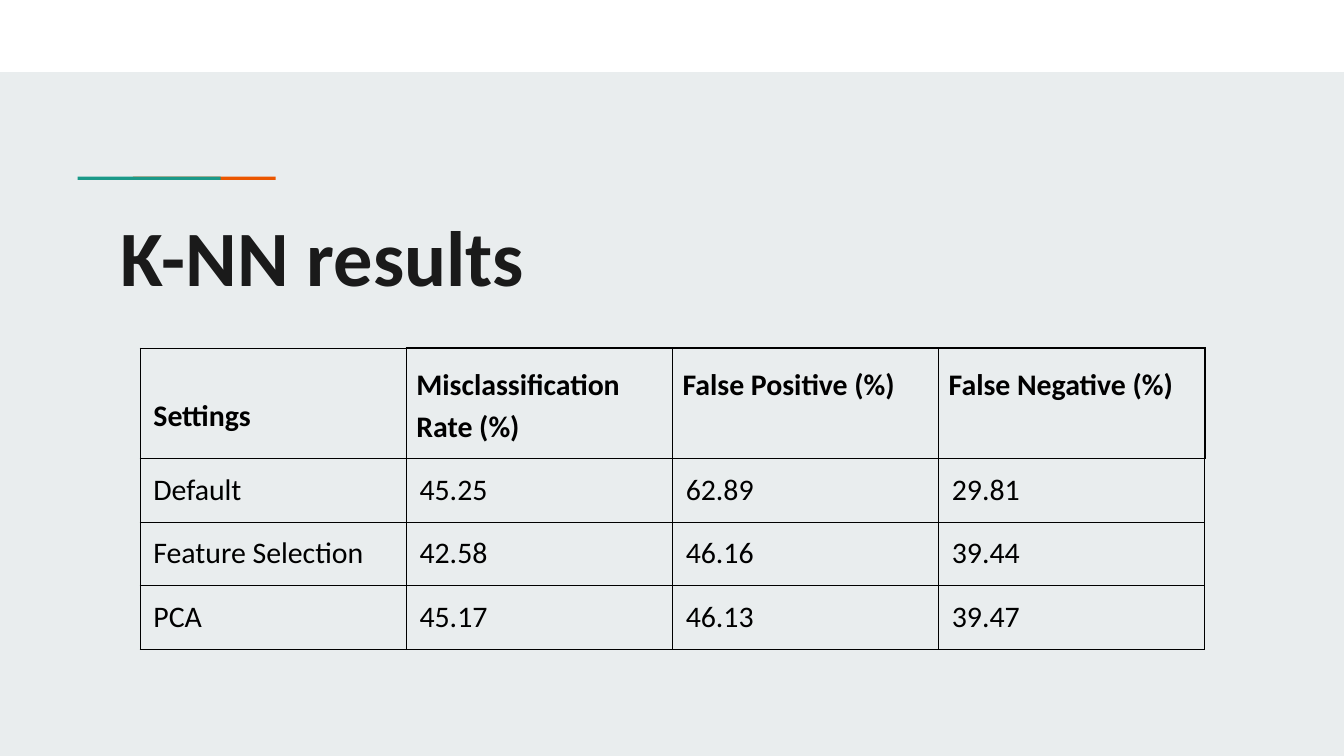
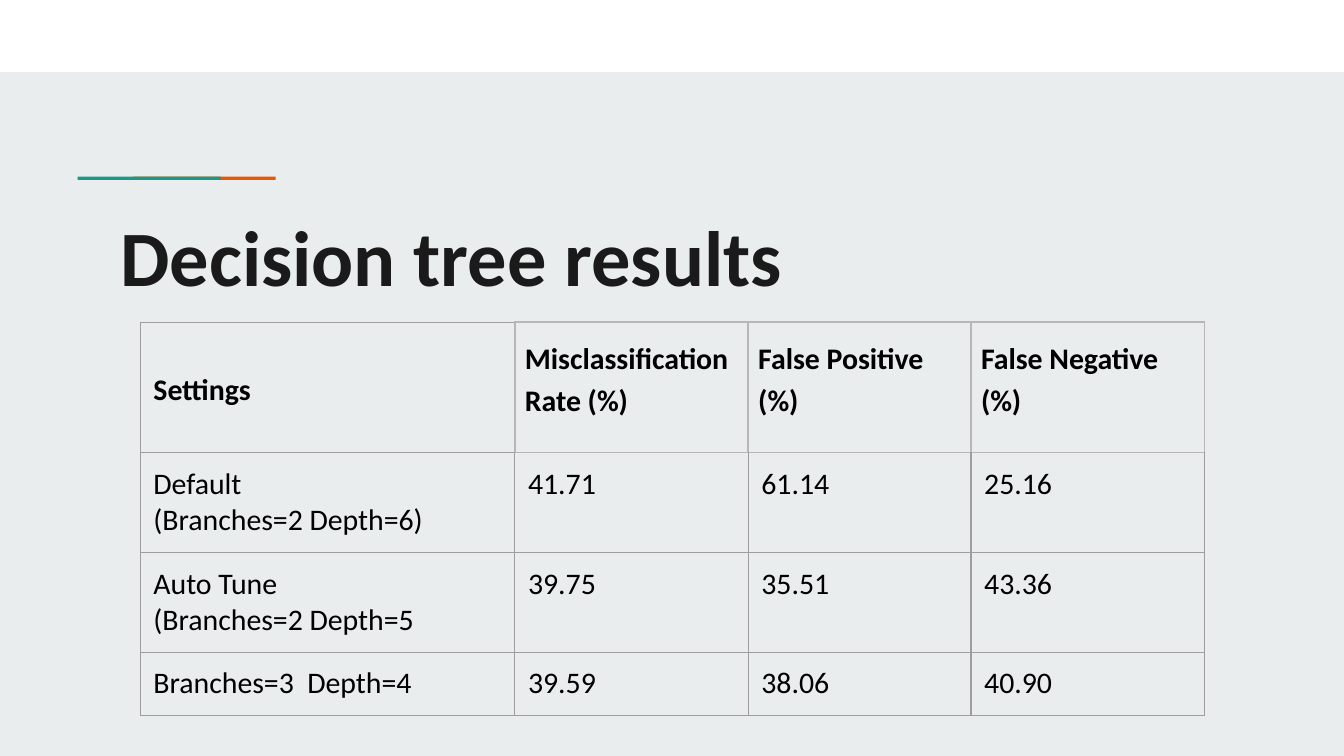
"""Builds two slides with the result tables of two classifiers."""
from dataclasses import dataclass

from lxml.etree import SubElement
from pptx import Presentation
from pptx.dml.color import RGBColor
from pptx.enum.shapes import MSO_SHAPE
from pptx.enum.text import MSO_ANCHOR
from pptx.oxml.ns import qn
from pptx.util import Cm, Pt


@dataclass(frozen=True)
class Theme:
    font: str = "Calibri"
    back: str = "E9EDEE"
    band: str = "FFFFFF"
    teal: str = "1A9988"
    orange: str = "EB5600"
    title: str = "1A1A1A"
    text: str = "000000"
    big: int = 42
    body: int = 16
    thin: float = 0.75
    thick: float = 1


THEME = Theme()
WIDTH, HEIGHT = 25.4, 14.29
LEFT, PAD, TIGHT = 2.65, 0.25, 0.19
DROP = 0.94
HEADS = ["Settings", "Misclassification Rate (%)",
         "False Positive (%)", "False Negative (%)"]


def style(par, size, color, bold=False):
    font = par.font
    font.name, font.size, font.bold = THEME.font, Pt(size), bold
    font.color.rgb = RGBColor.from_string(color)


def add_bar(slide, left, top, width, height, color):
    bar = slide.shapes.add_shape(MSO_SHAPE.RECTANGLE, Cm(left), Cm(top),
                                 Cm(width), Cm(height))
    bar.shadow.inherit = False
    bar.fill.solid()
    bar.fill.fore_color.rgb = RGBColor.from_string(color)
    bar.line.fill.background()


def add_title(slide, text, height):
    frame = slide.shapes.add_textbox(Cm(2.03), Cm(3.68), Cm(21.36),
                                     Cm(height)).text_frame
    frame.word_wrap = True
    frame.vertical_anchor = MSO_ANCHOR.TOP
    frame.margin_left = frame.margin_right = Cm(PAD)
    frame.margin_top = frame.margin_bottom = Cm(PAD)
    frame.text = text
    style(frame.paragraphs[0], THEME.big, THEME.title, True)


def set_edges(cell, edges):
    props = cell._tc.get_or_add_tcPr()
    for side in "LRTB":
        color, width = edges[side]
        line = SubElement(props, qn(f"a:ln{side}"), w=str(Pt(width)))
        fill = SubElement(line, qn("a:solidFill"))
        SubElement(fill, qn("a:srgbClr"), val=color)


def pick_edges(row, col, grid, head):
    thin, thick = (grid, THEME.thin), (head, THEME.thick)
    if row == 0 and col > 0:
        return dict.fromkeys("LRTB", thick)
    edges = dict.fromkeys("LRTB", thin)
    if row == 0:
        edges["R"] = thick
    elif row == 1 and col > 0:
        edges["T"] = thick
    return edges


def fill_cell(cell, text, row, col):
    header = row == 0
    label = header and col > 0
    cell.margin_left = cell.margin_right = Cm(TIGHT if label else PAD)
    cell.margin_top = Cm(DROP if header and col == 0 else PAD)
    cell.margin_bottom = Cm(PAD)
    cell.text = text
    for par in cell.text_frame.paragraphs:
        style(par, THEME.body, THEME.text, header)
        if label:
            par.line_spacing = 1.15
            par.space_before = par.space_after = Pt(12)


def add_table(slide, top, widths, heights, rows, grid, head):
    data = [HEADS, *rows]
    table = slide.shapes.add_table(len(data), len(HEADS), Cm(LEFT), Cm(top),
                                   Cm(sum(widths)), Cm(sum(heights))).table
    table.first_row = table.horz_banding = False
    for column, width in zip(table.columns, widths):
        column.width = Cm(width)
    for line, height in zip(table.rows, heights):
        line.height = Cm(height)
    for row, texts in enumerate(data):
        for col, text in enumerate(texts):
            cell = table.cell(row, col)
            fill_cell(cell, text, row, col)
            set_edges(cell, pick_edges(row, col, grid, head))
            cell.fill.background()


def add_slide(deck, title, height):
    slide = deck.slides.add_slide(deck.slide_layouts[6])
    fill = slide.background.fill
    fill.solid()
    fill.fore_color.rgb = RGBColor.from_string(THEME.back)
    add_bar(slide, 0, 0, WIDTH, 1.36, THEME.band)
    for left, color in ((2.51, THEME.orange), (1.47, THEME.teal)):
        add_bar(slide, left, 3.34, 2.7, 0.06, color)
    add_title(slide, title, height)
    return slide


def main():
    deck = Presentation()
    deck.slide_width, deck.slide_height = Cm(WIDTH), Cm(HEIGHT)

    slide = add_slide(deck, "K-NN results", 1.88)
    add_table(slide, 6.58, [5.03] * 4, [2.09, 1.2, 1.2, 1.2], [
        ["Default", "45.25", "62.89", "29.81"],
        ["Feature Selection", "42.58", "46.16", "39.44"],
        ["PCA", "45.17", "46.13", "39.47"],
    ], "000000", "000000")

    slide = add_slide(deck, "Decision tree results", 4.62)
    add_table(slide, 6.09, [7.08, 4.41, 4.21, 4.41], [2.46, 1.89, 1.89, 1.2], [
        ["Default\n(Branches=2 Depth=6)", "41.71", "61.14", "25.16"],
        ["Auto Tune\n(Branches=2 Depth=5", "39.75", "35.51", "43.36"],
        ["Branches=3  Depth=4", "39.59", "38.06", "40.90"],
    ], "9E9E9E", "B7B7B7")

    deck.save("out.pptx")


if __name__ == "__main__":
    main()
